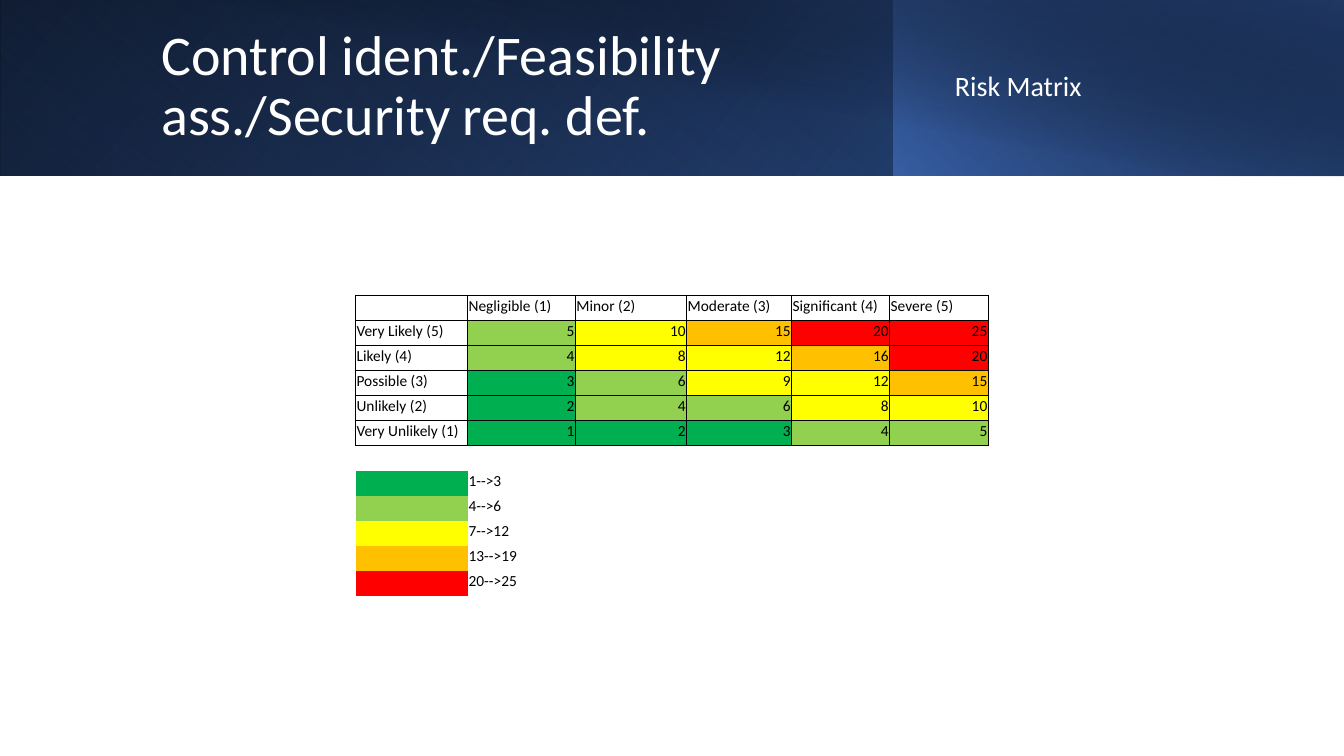
import lxml.etree
import pptx
import pptx.dml.color
import pptx.enum.shapes
import pptx.enum.text
import pptx.oxml.ns
import pptx.util

Pt = pptx.util.Pt
qn = pptx.oxml.ns.qn
ALIGN = pptx.enum.text.PP_ALIGN
ANCHOR = pptx.enum.text.MSO_ANCHOR

COLORS = {
    "black": "000000", "white": "FFFFFF", "blue": "4472C4",
    "dark_blue": "2F5597", "navy": "203864",
    "green": "00B050", "light_green": "92D050", "yellow": "FFFF00",
    "orange": "FFC000", "red": "FF0000",
}
# Highest score of each risk level, with its colour
LEVELS = [(3, "green"), (6, "light_green"), (12, "yellow"), (19, "orange"), (25, "red")]
IMPACTS = ["Negligible", "Minor", "Moderate", "Significant", "Severe"]
LIKELIHOODS = ["Very Unlikely", "Unlikely", "Possible", "Likely", "Very Likely"]
COLUMN_WIDTHS = [80, 77, 79.5, 75, 70, 70.5]
ROW_HEIGHT = 17.74
ROW_COUNT = 12
MATRIX_SIZE = 6
THICK_EDGES = {0, 1, MATRIX_SIZE}
NO_STYLE = "{2D5ABB26-0587-4C30-8999-92F81FD0307C}"


def set_attributes(target, values):
    for name, value in values.items():
        setattr(target, name, value)


def rgb(color):
    return pptx.dml.color.RGBColor.from_string(COLORS[color])


class RiskSlide:
    """Holds the style and the current slide."""
    font_name = "Calibri"

    def __init__(self, presentation):
        self.slide = presentation.slides.add_slide(presentation.slide_layouts[5])
        self.shapes = self.slide.shapes

    def format_font(self, font, size, color):
        set_attributes(font, {"name": self.font_name, "size": Pt(size)})
        font.color.rgb = rgb(color)

    def gradient_band(self, box, stops, angle, flip=True, rotation=0):
        """Add a rectangle; each stop is position, colour and opacity in percent."""
        shape = self.shapes.add_shape(
            pptx.enum.shapes.MSO_SHAPE.RECTANGLE, *(Pt(length) for length in box))
        shape.shadow.inherit = False
        shape.line.fill.background()
        shape.rotation = rotation
        properties = shape._element.spPr
        if flip:
            properties.find(qn("a:xfrm")).set("flipH", "1")
        shape.fill.gradient()
        for stop, (position, color, opacity) in zip(shape.fill.gradient_stops, stops):
            stop.position = position / 100
            stop.color.rgb = rgb(color)
            if opacity < 100:
                color_element = next(properties.iter(qn("a:gradFill"))).findall(
                    ".//" + qn("a:srgbClr"))[stops.index((position, color, opacity))]
                alpha = lxml.etree.SubElement(color_element, qn("a:alpha"))
                alpha.set("val", str(opacity * 1000))
        next(properties.iter(qn("a:lin"))).set("ang", str(angle * 60000))

    def heading(self, shape, box, text, size, space_after=0):
        set_attributes(shape, dict(zip(("left", "top", "width", "height"),
                                       (Pt(length) for length in box))))
        frame = shape.text_frame
        set_attributes(frame, {
            "text": text, "word_wrap": True, "vertical_anchor": ANCHOR.MIDDLE,
            "auto_size": pptx.enum.text.MSO_AUTO_SIZE.NONE})
        paragraph = frame.paragraphs[0]
        set_attributes(paragraph, {
            "alignment": ALIGN.LEFT, "line_spacing": 0.9, "space_after": Pt(space_after)})
        self.format_font(paragraph.runs[0].font, size, "white")

    def title(self, box, text, size):
        self.heading(self.shapes.title, box, text, size)
        # Bring the title in front of the bands
        self.shapes._spTree.append(self.shapes.title._element)

    def subtitle(self, box, text, size):
        shape = self.shapes.add_textbox(*(Pt(length) for length in box))
        self.heading(shape, box, text, size, space_after=6)

    def table(self, left, top):
        frame = self.shapes.add_table(
            ROW_COUNT, len(COLUMN_WIDTHS), Pt(left), Pt(top),
            Pt(sum(COLUMN_WIDTHS)), Pt(ROW_HEIGHT * ROW_COUNT))
        table = frame.table
        set_attributes(table, {"first_row": False, "horz_banding": False})
        next(frame._element.iter(qn("a:tableStyleId"))).text = NO_STYLE
        for column, width in zip(table.columns, COLUMN_WIDTHS):
            column.width = Pt(width)
        for row in table.rows:
            row.height = Pt(ROW_HEIGHT)
        return table

    def cell(self, cell, text="", fill=None, alignment=ALIGN.LEFT, borders=None):
        set_attributes(cell, {
            "margin_left": Pt(0.7), "margin_top": Pt(0.7), "margin_right": Pt(0.7),
            "margin_bottom": Pt(3.6), "vertical_anchor": ANCHOR.BOTTOM})
        paragraph = cell.text_frame.paragraphs[0]
        paragraph.alignment = alignment
        if text:
            run = paragraph.add_run()
            run.text = text
            self.format_font(run.font, 11, "black")
        else:
            end = lxml.etree.SubElement(paragraph._p, qn("a:endParaRPr"))
            end.set("sz", "1100")
        for side, width in (borders or {}).items():
            line = lxml.etree.SubElement(cell._tc.get_or_add_tcPr(), qn("a:ln" + side))
            line.set("w", str(Pt(width)))
            solid = lxml.etree.SubElement(line, qn("a:solidFill"))
            lxml.etree.SubElement(solid, qn("a:srgbClr")).set("val", COLORS["black"])
        if fill:
            cell.fill.solid()
            cell.fill.fore_color.rgb = rgb(fill)
        else:
            cell.fill.background()


def matrix_cell(row, column):
    """Return text, fill and alignment for a place in the risk matrix."""
    likelihood = MATRIX_SIZE - row
    if row == 0:
        return (f"{IMPACTS[column - 1]} ({column})" if column else ""), None, ALIGN.LEFT
    if column == 0:
        return f"{LIKELIHOODS[likelihood - 1]} ({likelihood})", None, ALIGN.LEFT
    score = likelihood * column
    fill = next(color for highest, color in LEVELS if score <= highest)
    return str(score), fill, ALIGN.RIGHT


def legend_cell(row, column):
    """Return text and fill for a place below the matrix."""
    level = row - MATRIX_SIZE - 1
    if level < 0 or column > 1:
        return "", None
    highest, color = LEVELS[level]
    if column == 0:
        return "", color
    lowest = LEVELS[level - 1][0] + 1 if level else 1
    return f"{lowest}-->{highest}", None


def edge_width(edge):
    return 1 if edge in THICK_EDGES else 0.5


def main():
    presentation = pptx.Presentation()
    set_attributes(presentation, {"slide_width": Pt(960), "slide_height": Pt(540)})
    risk = RiskSlide(presentation)

    # Header bands
    risk.gradient_band((0, 0, 960, 125.5),
                       [(0, "black", 100), (100, "dark_blue", 100)], 140)
    risk.gradient_band((0, 0, 639, 125.5),
                       [(20, "blue", 0), (100, "navy", 55)], 230, rotation=180)
    risk.gradient_band((638.5, 0, 321.5, 125.5),
                       [(0, "blue", 66), (100, "black", 30)], 220)
    risk.gradient_band((36, 0, 924, 126),
                       [(50, "black", 0), (99, "navy", 52)], 280, flip=False)

    # Headings
    risk.title((108, 0, 530.5, 124.5),
               "Control ident./Feasibility ass./Security req. def.", 40)
    risk.subtitle((675, -0.5, 245, 125.5), "Risk Matrix", 20)

    # Risk matrix with its legend below
    table = risk.table(254, 211)
    for row in range(ROW_COUNT):
        for column in range(len(COLUMN_WIDTHS)):
            cell = table.cell(row, column)
            if row < MATRIX_SIZE:
                borders = {"L": edge_width(column), "R": edge_width(column + 1),
                           "T": edge_width(row), "B": edge_width(row + 1)}
                risk.cell(cell, *matrix_cell(row, column), borders=borders)
            else:
                risk.cell(cell, *legend_cell(row, column))

    presentation.save("out.pptx")


if __name__ == "__main__":
    main()
